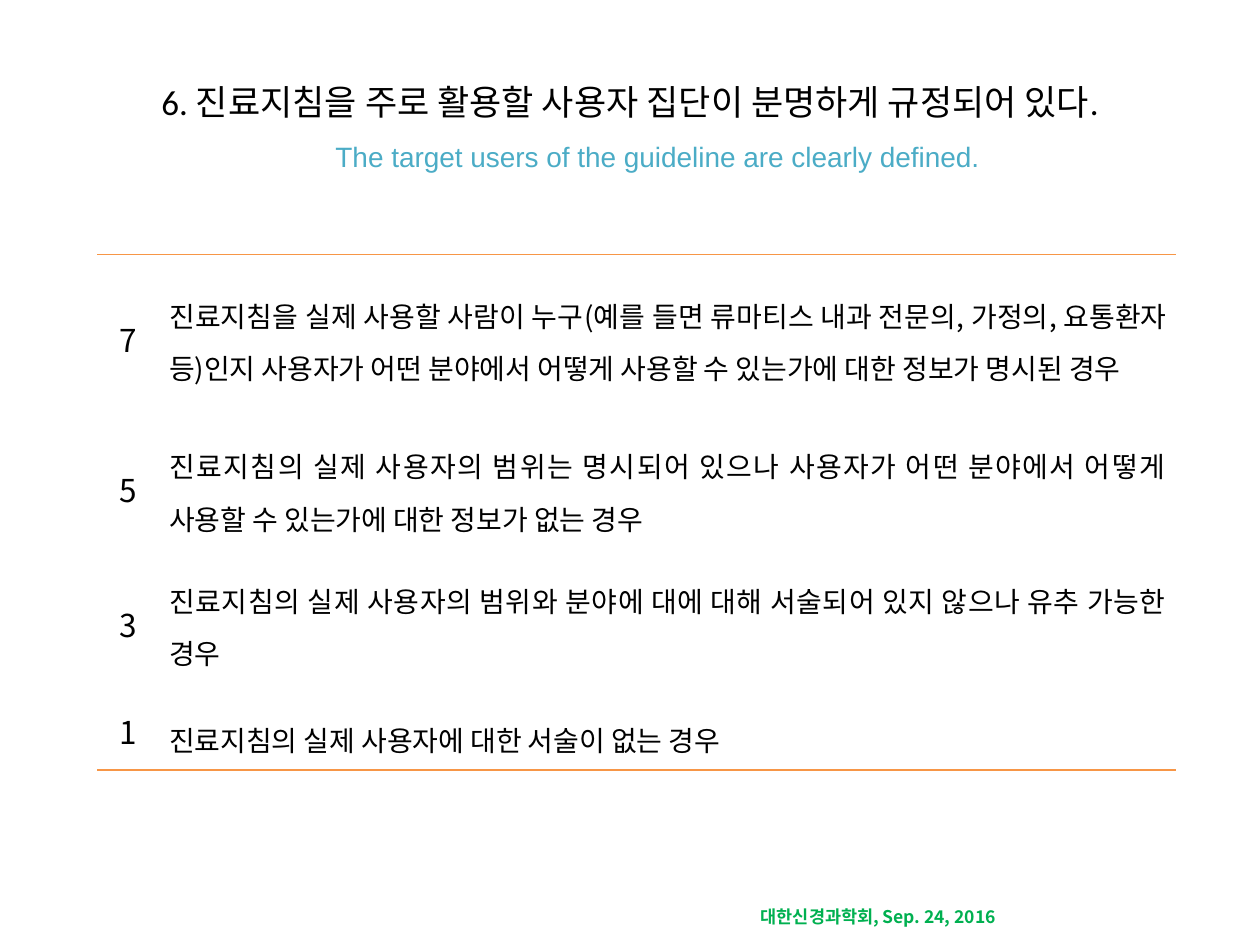
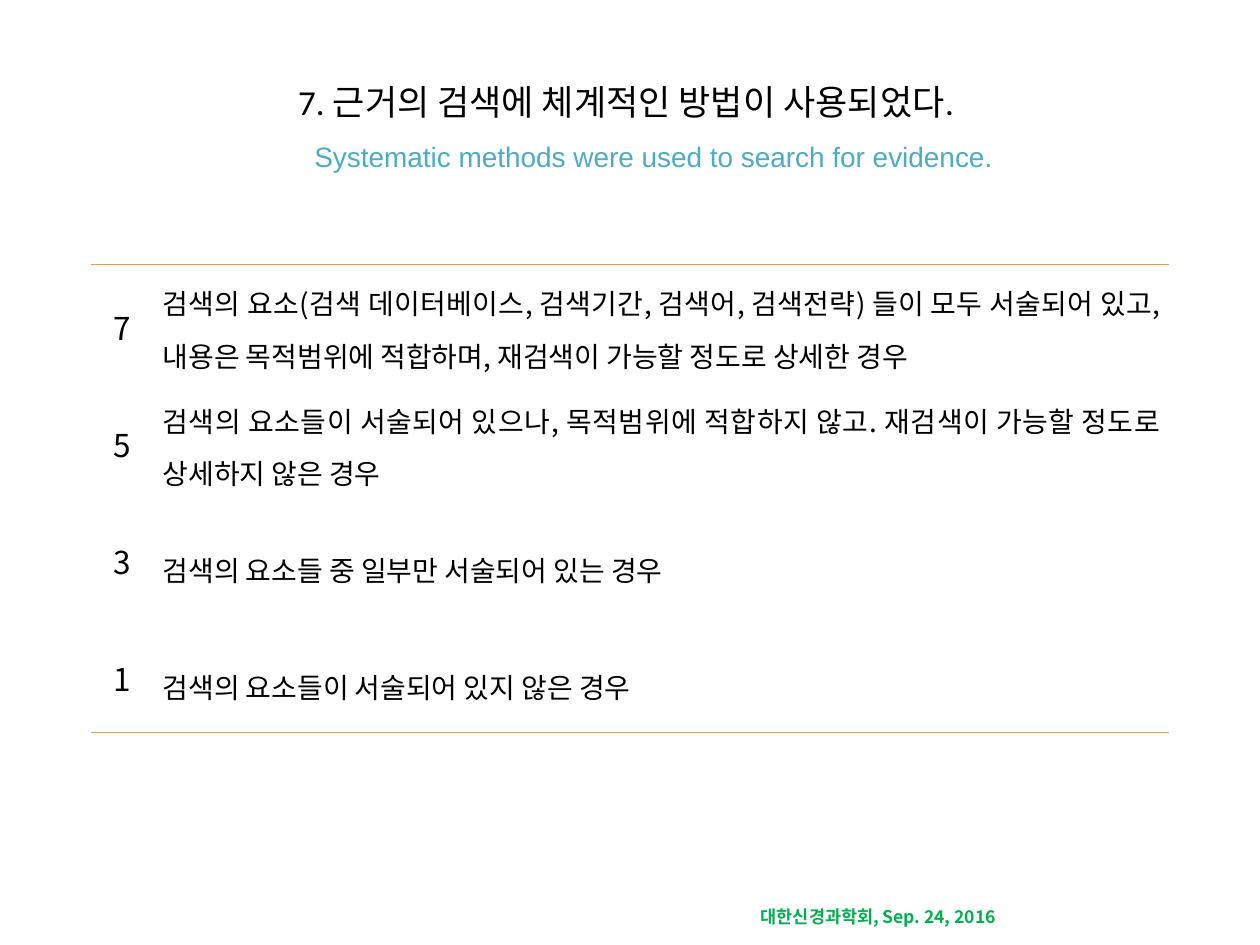
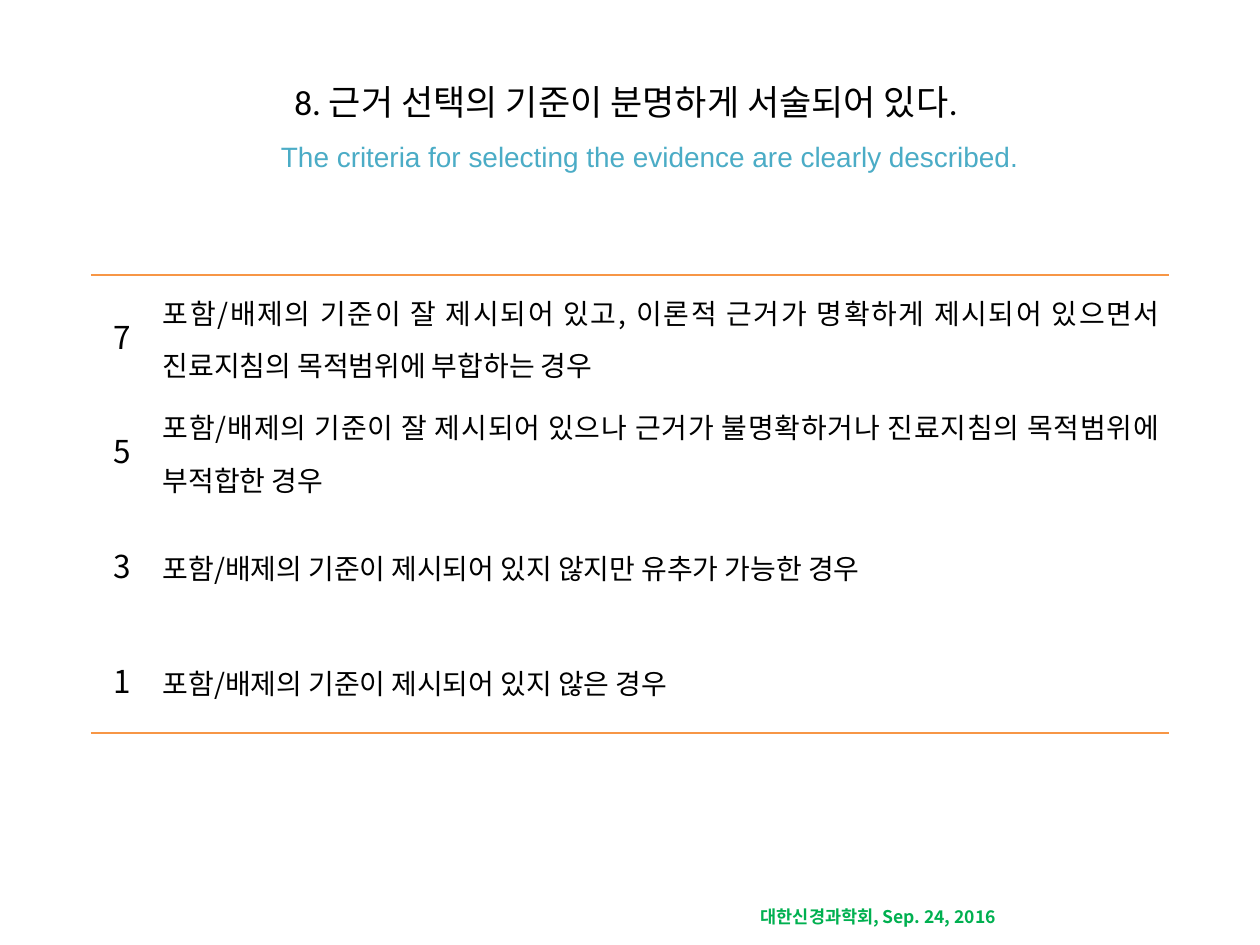
"""Build three guideline appraisal slides, each with a scoring table."""
from dataclasses import dataclass
from typing import Any

import pptx
import pptx.dml.color
import pptx.enum.text
import pptx.oxml
import pptx.oxml.ns
import pptx.util

Cm = pptx.util.Cm
Pt = pptx.util.Pt
ALIGN = pptx.enum.text.PP_ALIGN
MIDDLE = pptx.enum.text.MSO_ANCHOR.MIDDLE

COLORS = {"ink": "000000", "english": "4BACC6", "rule": "F79646", "footer": "00B050"}
KOREAN_FONT = "Noto Sans CJK KR"
NO_STYLE = "{2D5ABB26-0587-4C30-8999-92F81FD0307C}"
FOOTER = "대한신경과학회, Sep. 24, 2016"
COLUMN_WIDTHS = (1.27, 20.47)

TITLE_BOX = {"left": Cm(1.27), "top": Cm(0.76), "width": Cm(22.86), "height": Cm(3.18)}
QUESTION_FONT = {"name": "Calibri", "size": Pt(20)}
ENGLISH_FONT = {"name": "Arial", "size": Pt(16)}
FOOTER_FONT = {"name": KOREAN_FONT, "size": Pt(10), "bold": True}
SCORE_FONT = {"name": KOREAN_FONT, "size": Pt(18)}
CRITERION_FONT = {"name": KOREAN_FONT, "size": Pt(16)}
CELL_FORMAT = {
    "margin_left": Cm(0.18), "margin_right": Cm(0.18),
    "margin_top": 0, "margin_bottom": 0, "vertical_anchor": MIDDLE,
}


@dataclass
class Level:
    """A score with its criterion, row height in cm and line spacing."""
    score: str
    criterion: str
    height: float
    spacing: float = 1.3


@dataclass
class Item:
    """An appraisal item: its title lines and its scoring table."""
    question: str
    english: str
    indent: float
    left: float
    top: float
    levels: list[Level]


ITEMS = [
    Item(
        "6. 진료지침을 주로 활용할 사용자 집단이 분명하게 규정되어 있다.",
        "The target users of the guideline are clearly defined. ",
        1.27, 1.96, 5.13,
        [
            Level("7", "진료지침을 실제 사용할 사람이 누구(예를 들면 류마티스 내과 전문의, 가정의, "
                  "요통환자 등)인지 사용자가 어떤 분야에서 어떻게 사용할 수 있는가에 대한 정보가 "
                  "명시된 경우", 3.25),
            Level("5", "진료지침의 실제 사용자의 범위는 명시되어 있으나 사용자가 어떤 분야에서 어떻게 "
                  "사용할 수 있는가에 대한 정보가 없는 경우", 2.82),
            Level("3", "진료지침의 실제 사용자의 범위와 분야에 대에 대해 서술되어 있지 않으나 유추 가능한 "
                  "경우", 2.62),
            Level("1", "진료지침의 실제 사용자에 대한 서술이 없는 경우", 1.7, 1.6),
        ],
    ),
    Item(
        "7. 근거의 검색에 체계적인 방법이 사용되었다. ",
        "Systematic methods were used to search for evidence.",
        0.95, 1.83, 5.33,
        [
            Level("7", "검색의 요소(검색 데이터베이스, 검색기간, 검색어, 검색전략) 들이 모두 "
                  "서술되어 있고, 내용은 목적범위에 적합하며, 재검색이 가능할 정도로 상세한 경우", 2.36),
            Level("5", "검색의 요소들이 서술되어 있으나, 목적범위에 적합하지 않고. 재검색이 가능할 "
                  "정도로 상세하지 않은 경우", 2.36),
            Level("3", "검색의 요소들 중 일부만 서술되어 있는 경우", 2.36, 1.6),
            Level("1", "검색의 요소들이 서술되어 있지 않은 경우", 2.36, 1.6),
        ],
    ),
    Item(
        "8. 근거 선택의 기준이 분명하게 서술되어 있다. ",
        "The criteria for selecting the evidence are clearly described. ",
        0.95, 1.83, 5.54,
        [
            Level("7", "포함/배제의 기준이 잘 제시되어 있고, 이론적 근거가 명확하게 제시되어 있으면서 "
                  "진료지침의 목적범위에 부합하는 경우", 2.31),
            Level("5", "포함/배제의 기준이 잘 제시되어 있으나 근거가 불명확하거나 진료지침의 목적범위에 "
                  "부적합한 경우", 2.31),
            Level("3", "포함/배제의 기준이 제시되어 있지 않지만 유추가 가능한 경우", 2.31),
            Level("1", "포함/배제의 기준이 제시되어 있지 않은 경우", 2.31),
        ],
    ),
]


def apply(target: Any, values: dict[str, Any]) -> None:
    for attribute, value in values.items():
        setattr(target, attribute, value)


def add_run(paragraph: Any, text: str, font: dict[str, Any], color: str) -> None:
    run = paragraph.add_run()
    run.text = text
    apply(run.font, font)
    run.font.color.rgb = pptx.dml.color.RGBColor.from_string(COLORS[color])
    east_asian = pptx.oxml.parse_xml(
        f'<a:ea {pptx.oxml.ns.nsdecls("a")} typeface="{KOREAN_FONT}"/>')
    run.font.name = font["name"]
    run._r.get_or_add_rPr().append(east_asian)


def add_title(slide: Any, item: Item) -> None:
    title = slide.shapes.title
    apply(title, TITLE_BOX)
    apply(title.text_frame, {
        "vertical_anchor": MIDDLE, "word_wrap": True,
        "auto_size": pptx.enum.text.MSO_AUTO_SIZE.NONE,
    })
    heading = title.text_frame.paragraphs[0]
    apply(heading, {"alignment": ALIGN.CENTER, "line_spacing": 1.5, "space_before": Pt(0)})
    properties = heading._p.get_or_add_pPr()
    properties.set("marL", str(Cm(item.indent)))
    properties.set("indent", str(-Cm(item.indent)))
    add_run(heading, item.question, QUESTION_FONT, "ink")
    heading.add_line_break()
    add_run(heading, item.english, ENGLISH_FONT, "english")


def add_rule(cell: Any, side: str) -> None:
    cell._tc.get_or_add_tcPr().append(pptx.oxml.parse_xml(
        f'<a:{side} {pptx.oxml.ns.nsdecls("a")} w="{Pt(1)}"><a:solidFill>'
        f'<a:srgbClr val="{COLORS["rule"]}"/></a:solidFill></a:{side}>'))


def add_scores(slide: Any, item: Item) -> None:
    levels = item.levels
    frame = slide.shapes.add_table(
        len(levels), len(COLUMN_WIDTHS), Cm(item.left), Cm(item.top),
        Cm(sum(COLUMN_WIDTHS)), Cm(sum(level.height for level in levels)))
    scores = frame.table
    apply(scores, {"first_row": False, "horz_banding": False})
    scores._tbl.tblPr.find(pptx.oxml.ns.qn("a:tableStyleId")).text = NO_STYLE
    for column, width in zip(scores.columns, COLUMN_WIDTHS):
        column.width = Cm(width)
    for row, level in zip(scores.rows, levels):
        row.height = Cm(level.height)
        contents = (
            (level.score, SCORE_FONT, ALIGN.CENTER, 1.15),
            (level.criterion, CRITERION_FONT, ALIGN.JUSTIFY, level.spacing),
        )
        for cell, (text, font, alignment, spacing) in zip(row.cells, contents):
            apply(cell, CELL_FORMAT)
            if level is levels[0]:
                add_rule(cell, "lnT")
            if level is levels[-1]:
                add_rule(cell, "lnB")
            cell.fill.background()
            paragraph = cell.text_frame.paragraphs[0]
            apply(paragraph, {"alignment": alignment, "line_spacing": spacing})
            add_run(paragraph, text, font, "ink")


def add_footer(slide: Any) -> None:
    footer = slide.shapes.add_textbox(Cm(15.09), Cm(18.14), Cm(6.2), Cm(0.69))
    footer.text_frame.word_wrap = True
    add_run(footer.text_frame.paragraphs[0], FOOTER, FOOTER_FONT, "footer")


def main() -> None:
    deck = pptx.Presentation()
    apply(deck, {"slide_width": Cm(25.4), "slide_height": Cm(19.05)})
    title_only = deck.slide_layouts.get_by_name("Title Only")
    for item in ITEMS:
        slide = deck.slides.add_slide(title_only)
        add_footer(slide)
        add_title(slide, item)
        add_scores(slide, item)
    deck.save("out.pptx")


if __name__ == "__main__":
    main()
